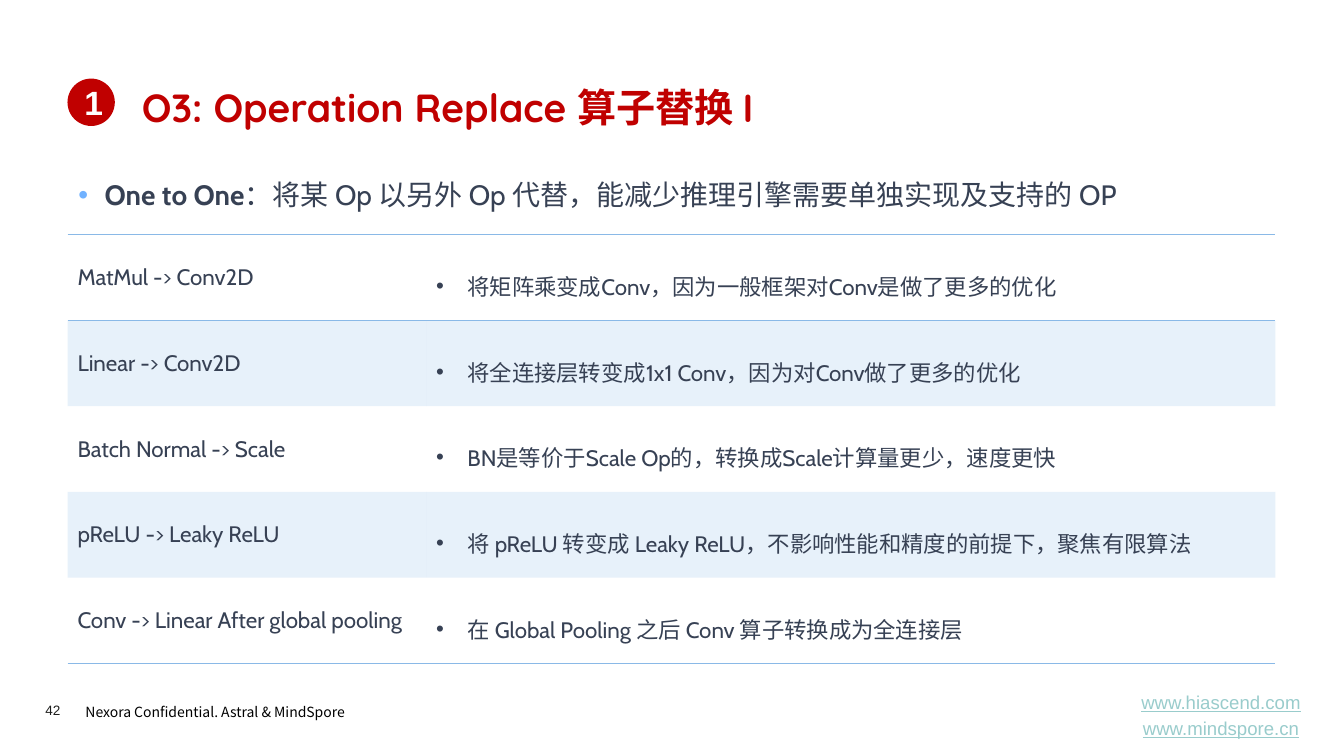
from lxml import etree
from pptx import Presentation
from pptx import util as u
from pptx.dml.color import RGBColor
from pptx.enum import shapes, text
from pptx.oxml import ns

COLORS = {"red": "C00000", "body": "374154", "rule": "8AB9E7", "bullet": "71B2FF",
          "link": "99CCCC", "number": "1D1D1B", "black": "000000", "white": "FFFFFF"}
CJK = "Noto Sans CJK SC"
PLAIN_TABLE = "{2D5ABB26-0587-4C30-8999-92F81FD0307C}"
REPLACEMENTS = [
    ("MatMul -> Conv2D", "将矩阵乘变成Conv，因为一般框架对Conv是做了更多的优化"),
    ("Linear -> Conv2D", "将全连接层转变成1x1 Conv，因为对Conv做了更多的优化"),
    ("Batch Normal -> Scale", "BN是等价于Scale Op的，转换成Scale计算量更少，速度更快"),
    ("pReLU -> Leaky ReLU", "将 pReLU 转变成 Leaky ReLU，不影响性能和精度的前提下，聚焦有限算法"),
    ("Conv -> Linear After global pooling", "在 Global Pooling 之后 Conv 算子转换成为全连接层"),
]


def rgb(name):
    return RGBColor.from_string(COLORS[name])


def add_child(parent, tag, **attributes):
    return etree.SubElement(parent, ns.qn(tag), attributes)


def add_span(para, words, size, font, color, bold=False, underline=False):
    span = para.add_run()
    span.text = words
    span.font.size = u.Pt(size)
    span.font.name = font
    span.font.bold = bold
    span.font.underline = underline
    span.font.color.rgb = rgb(color)
    add_child(span.font._element, "a:ea", typeface=CJK)


def add_bullet(para, indent, color):
    para.line_spacing = 1.5
    props = para._p.get_or_add_pPr()
    props.set("marL", str(u.Inches(indent)))
    props.set("indent", str(-u.Inches(indent)))
    add_child(add_child(props, "a:buClr"), "a:srgbClr", val=COLORS[color])
    add_child(props, "a:buFont", typeface="Arial")
    add_child(props, "a:buChar", char="•")


def add_text_frame(page, box, anchor=text.MSO_ANCHOR.TOP):
    frame = page.shapes.add_textbox(*map(u.Inches, box)).text_frame
    frame.word_wrap = True
    frame.vertical_anchor = anchor
    return frame


def add_heading(page, left, top, width):
    badge = page.shapes.add_shape(shapes.MSO_SHAPE.OVAL, u.Inches(left), u.Inches(top + 0.04),
                                  u.Inches(0.47), u.Inches(0.47))
    badge.shadow.inherit = False
    badge.fill.solid()
    badge.fill.fore_color.rgb = rgb("red")
    badge.line.fill.background()
    badge.text_frame.vertical_anchor = text.MSO_ANCHOR.MIDDLE
    para = badge.text_frame.paragraphs[0]
    para.alignment = text.PP_ALIGN.CENTER
    add_span(para, "1", 24, "Arial", "white", bold=True)
    title = add_text_frame(page, (left + 0.64, top, width - 0.64, 0.64), text.MSO_ANCHOR.MIDDLE)
    add_span(title.paragraphs[0], "O3: Operation Replace 算子替换 I", 28, "Quicksand", "red", bold=True)


def add_summary(page, box):
    para = add_text_frame(page, box).paragraphs[0]
    add_bullet(para, 0.26, "bullet")
    add_span(para, "One to One", 20, "Cabin", "body", bold=True)
    add_span(para, "：将某 Op 以另外 Op 代替，能减少推理引擎需要单独实现及支持的 OP", 20, "Cabin", "body")


def add_rule(cell, side):
    line = add_child(cell._tc.get_or_add_tcPr(), side, w=str(u.Pt(1)))
    add_child(add_child(line, "a:solidFill"), "a:srgbClr", val=COLORS["rule"])


def style_cell(cell, row, last):
    cell.vertical_anchor = text.MSO_ANCHOR.MIDDLE
    if row == 0:
        add_rule(cell, "a:lnT")
    if row in (0, last):
        add_rule(cell, "a:lnB")
    if row % 2:
        cell.fill.solid()
        cell.fill.fore_color.rgb = rgb("rule")
        shade = cell._tc.tcPr.find(".//" + ns.qn("a:srgbClr"))
        add_child(shade, "a:alpha", val="20000")
    else:
        cell.fill.background()


def add_replacement_table(page, left, top, widths, row_height):
    count = len(REPLACEMENTS)
    table = page.shapes.add_table(count, 2, u.Inches(left), u.Inches(top),
                                  u.Inches(sum(widths)), u.Inches(row_height * count)).table
    table.first_row = table.horz_banding = False
    table._tbl.tblPr.find(ns.qn("a:tableStyleId")).text = PLAIN_TABLE
    for column, width in zip(table.columns, widths):
        column.width = u.Inches(width)
    for row, entry in enumerate(REPLACEMENTS):
        table.rows[row].height = u.Inches(row_height)
        for column, words in enumerate(entry):
            cell = table.cell(row, column)
            style_cell(cell, row, count - 1)
            para = cell.text_frame.paragraphs[0]
            if column == 1:
                add_bullet(para, 0.31, "body")
            add_span(para, words, 16, "Cabin", "body")


def add_footer(page, left, top, right):
    number = add_text_frame(page, (left, top + 0.08, 0.55, 0.16))
    number.margin_left = number.margin_right = number.margin_top = number.margin_bottom = 0
    add_span(number.paragraphs[0], "42", 9.7, "Arial", "number")
    notice = add_text_frame(page, (left + 0.3, top + 0.02, 3.13, 0.29)).paragraphs[0]
    notice.line_spacing = 1.2
    add_span(notice, "Nexora Confidential. Astral & MindSpore", 10, CJK, "black")
    links = add_text_frame(page, (right - 2.16, top, 2.16, 0.43), text.MSO_ANCHOR.MIDDLE)
    for index, address in enumerate(("www.hiascend.com", "www.mindspore.cn")):
        para = links.add_paragraph() if index else links.paragraphs[0]
        para.alignment = text.PP_ALIGN.CENTER
        if index:
            para.space_before = u.Pt(2.7)
        add_span(para, address, 13.3, "Arial", "link", underline=True)


def main():
    deck = Presentation()
    deck.slide_width, deck.slide_height = u.Inches(13.34), u.Inches(7.5)
    page = deck.slides.add_slide(deck.slide_layouts[6])
    add_heading(page, 0.67, 0.74, 12)
    add_summary(page, (0.68, 1.55, 11.99, 0.64))
    add_replacement_table(page, 0.67, 2.33, (3.56, 8.43), 0.85)
    add_footer(page, 0.45, 6.88, 13.2)
    deck.save("out.pptx")


if __name__ == "__main__":
    main()
